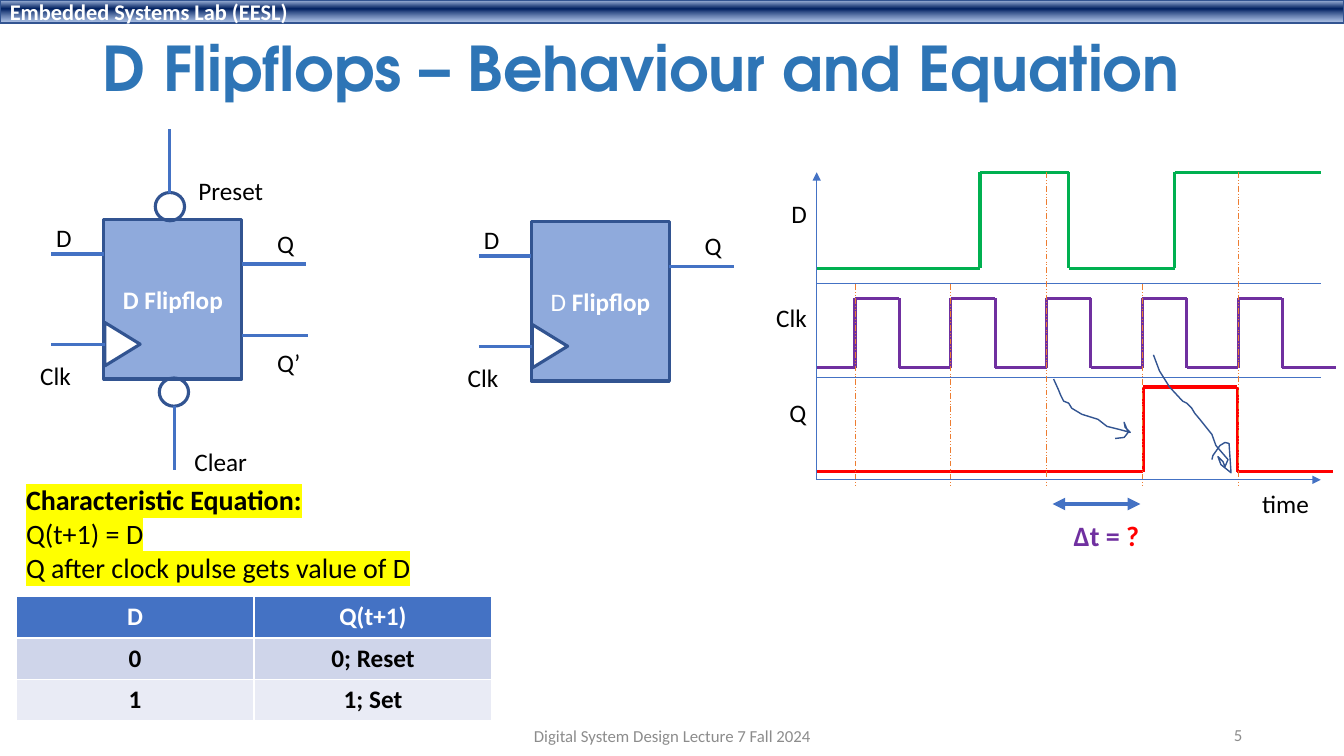
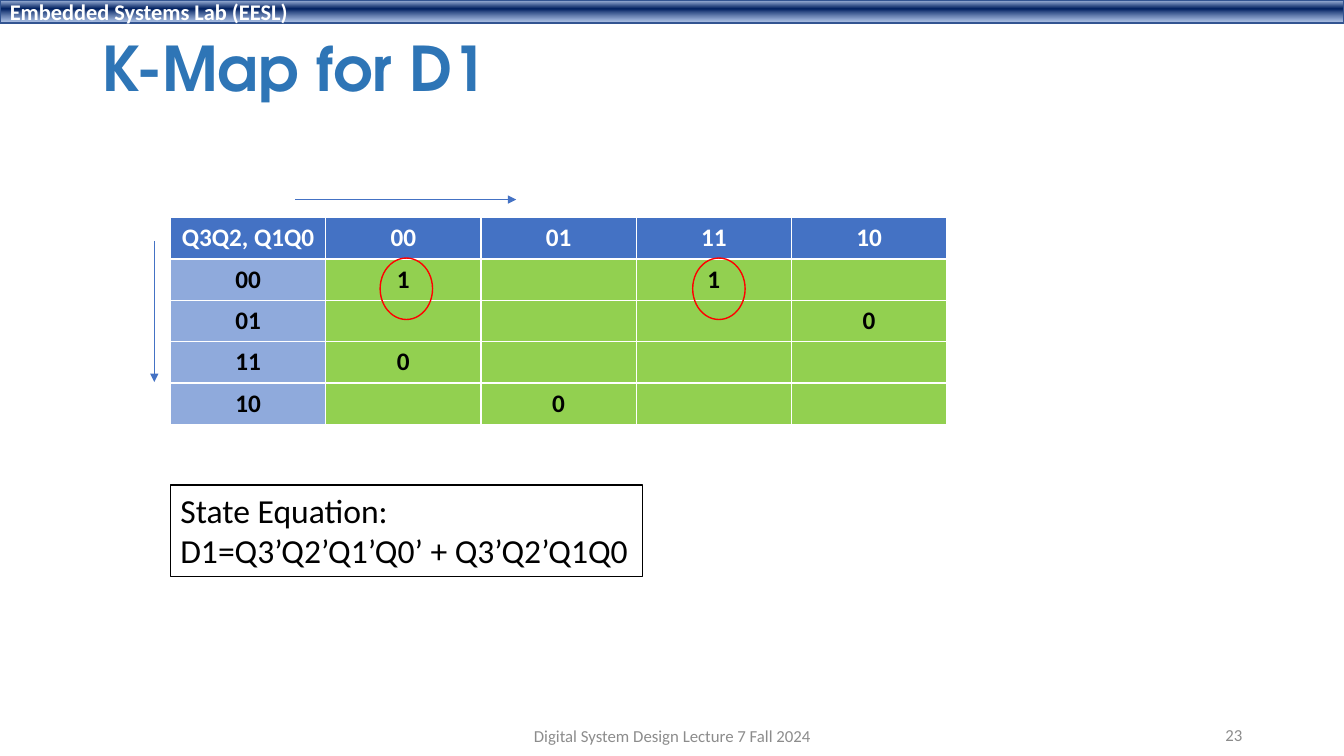
from itertools import pairwise

from lxml import etree
from pptx import Presentation
from pptx.dml.color import RGBColor
from pptx.enum.dml import MSO_LINE
from pptx.enum.shapes import MSO_CONNECTOR, MSO_SHAPE
from pptx.enum.text import MSO_ANCHOR, PP_ALIGN
from pptx.oxml import parse_xml
from pptx.oxml.ns import nsdecls, qn
from pptx.util import Pt

PX = 9144  # EMU per px, 100 px to the inch
RECT, OVAL, TRIANGLE = MSO_SHAPE.RECTANGLE, MSO_SHAPE.OVAL, MSO_SHAPE.ISOSCELES_TRIANGLE
LEFT, CENTER, RIGHT = PP_ALIGN.LEFT, PP_ALIGN.CENTER, PP_ALIGN.RIGHT
TOP, MIDDLE = MSO_ANCHOR.TOP, MSO_ANCHOR.MIDDLE
STRAIGHT = MSO_CONNECTOR.STRAIGHT
DASH_DOT_DOT = MSO_LINE.DASH_DOT_DOT


class Theme:
    font, title_font = "Calibri", "TeX Gyre Adventor"
    white, black, gray = "FFFFFF", "000000", "8C8C8C"
    title, blue, outline, light_blue = "2E75B6", "4472C4", "325491", "8FAADC"
    green, purple, red, orange = "00B050", "7030A0", "FF0000", "ED7D31"
    yellow, kmap = "FFFF00", "92D050"
    row_dark, row_light = "CFD5EA", "E9EBF5"
    band = [(2, "ABC0E4", 100), (38, "002060", 100), (93, "7E9ED6", 64)]
    title_size, equation, large, body, header, footer = 44, 24, 20, 18, 16, 12
    thin, normal, medium, thick = 0.5, 1, 2.25, 3


T = Theme


def write(tf, paras, size, color, bold=False, align=LEFT, anchor=TOP, font=T.font):
    """Fill a text frame; a paragraph is a string or a list of (text, colour, bold)."""
    tf.vertical_anchor = anchor
    for i, para in enumerate(paras):
        p = tf.add_paragraph() if i else tf.paragraphs[0]
        p.alignment = align
        p.font.name, p.font.size = font, Pt(size)
        p.font.bold = bold
        p.font.color.rgb = RGBColor.from_string(color)
        if isinstance(para, str):
            p.add_run().text = para
            continue
        for text, run_color, run_bold in para:
            r = p.add_run()
            r.text = text
            r.font.bold = run_bold
            r.font.color.rgb = RGBColor.from_string(run_color)


def wire(s, x1, y1, x2, y2, color, width, dash=None, arrows=()):
    """Draw a straight line; arrows lists the ends, headEnd and tailEnd in that order."""
    c = s.shapes.add_connector(STRAIGHT, x1 * PX, y1 * PX, x2 * PX, y2 * PX)
    c.line.color.rgb = RGBColor.from_string(color)
    c.line.width = Pt(width)
    if dash:
        c.line.dash_style = dash
    sp_pr = c._element.spPr
    for end in arrows:
        etree.SubElement(sp_pr.find(qn("a:ln")), qn("a:" + end), type="triangle")
    etree.SubElement(sp_pr, qn("a:effectLst"))


prs = Presentation()
prs.slide_width, prs.slide_height = 1333 * PX, 750 * PX

# Shared band, title, footer and number
slides = []
for title, number in [("D Flipflops – Behaviour and Equation", "5"), ("K-Map for D1", "23")]:
    s = prs.slides.add_slide(prs.slide_layouts[6])
    slides.append(s)
    band = s.shapes.add_shape(RECT, 0, 0, prs.slide_width, 23 * PX)
    band.shadow.inherit = False
    band.line.color.rgb = RGBColor.from_string(T.outline)
    band.line.width = Pt(T.normal)
    band.fill.gradient()
    band.fill.gradient_angle = 270
    stops = "".join(
        f'<a:gs pos="{pos * 1000}"><a:srgbClr val="{color}"><a:alpha val="{alpha * 1000}"/>'
        f"</a:srgbClr></a:gs>" for pos, color, alpha in T.band)
    old = band._element.spPr.find(".//" + qn("a:gsLst"))
    old.getparent().replace(old, parse_xml(f"<a:gsLst {nsdecls('a')}>{stops}</a:gsLst>"))
    write(band.text_frame, ["Embedded Systems Lab (EESL)"], T.header, T.white, True, anchor=MIDDLE)

    for x, y, w, h, text, size, color, bold, align, font in [
        (92, 22, 1150, 98, title, T.title_size, T.title, True, LEFT, T.title_font),
        (442, 710, 450, 40, "Digital System Design Lecture 7 Fall 2024",
         T.footer, T.gray, False, CENTER, T.font),
        (942, 709, 300, 40, number, T.footer, T.gray, False, RIGHT, T.font),
    ]:
        tf = s.shapes.add_textbox(x * PX, y * PX, w * PX, h * PX).text_frame
        tf.word_wrap = True
        write(tf, [text], size, color, bold, align, MIDDLE, font)
        if size == T.title_size:
            tf.paragraphs[0].line_spacing = 0.9
flipflops, kmap = slides

# Truth table and K-map: each body row has its first fill and its other fill
ROW_H = 41
kmap_fills = (T.light_blue, T.kmap)
for s, x, y, col_w, rows, fills in [
    (flipflops, 16, 592, 236,
     [["D", "Q(t+1)"], ["0", "0; Reset"], ["1", "1; Set"]],
     [(T.row_dark, T.row_dark), (T.row_light, T.row_light)]),
    (kmap, 169, 216, 154,
     [["Q3Q2, Q1Q0", "00", "01", "11", "10"],
      ["00", "1", "", "1", ""],
      ["01", "", "", "", "0"],
      ["11", "0", "", "", ""],
      ["10", "", "0", "", ""]],
     [kmap_fills] * 4),
]:
    n_rows, n_cols = len(rows), len(rows[0])
    table = s.shapes.add_table(n_rows, n_cols, x * PX, y * PX,
                               n_cols * col_w * PX, n_rows * ROW_H * PX).table
    for col in table.columns:
        col.width = col_w * PX
    for i, (row, (first, other)) in enumerate(zip(rows, [(T.blue, T.blue)] + fills)):
        for j, text in enumerate(row):
            cell = table.cell(i, j)
            cell.fill.solid()
            cell.fill.fore_color.rgb = RGBColor.from_string(other if j else first)
            if text:
                write(cell.text_frame, [text], T.body, T.black if i else T.white, True, CENTER)

# Flipflop bodies with clock marks, inversion bubbles, K-map circles
FF_DX, FF_DY = 424, 2
ff_origins = [(0, 0), (FF_DX, FF_DY)]
outlines = []
for (dx, dy), d_bold in zip(ff_origins, (True, False)):
    name = [("D ", T.white, d_bold), ("Flipflop", T.white, True)]
    outlines += [
        (flipflops, RECT, 103 + dx, 218 + dy, 137, 158, T.light_blue, T.outline, T.medium, name),
        (flipflops, TRIANGLE, 100 + dx, 324 + dy, 43, 35, T.white, T.outline, T.medium, None),
    ]
for x, y in [(154, 191), (158, 375)]:
    outlines.append((flipflops, OVAL, x, y, 29, 28, None, T.outline, T.medium, None))
for x in (377, 687):
    outlines.append((kmap, OVAL, x, 256, 52, 61, None, T.red, T.normal, None))
for s, kind, x, y, w, h, fill, color, width, name in outlines:
    sp = s.shapes.add_shape(kind, x * PX, y * PX, w * PX, h * PX)
    sp.shadow.inherit = False
    sp.line.color.rgb = RGBColor.from_string(color)
    sp.line.width = Pt(width)
    if fill:
        sp.fill.solid()
        sp.fill.fore_color.rgb = RGBColor.from_string(fill)
    else:
        sp.fill.background()
    if kind == TRIANGLE:
        sp.rotation = 90
    if name:
        write(sp.text_frame, [name], T.body, T.white, align=CENTER, anchor=MIDDLE)

# Flipflop pins
pins = [(240, 333, 305, 333), (168, 191, 168, 128), (173, 466, 173, 403)]
labels = [(265, 340, 44, "Q’"), (187, 169, 85, "Preset"), (183, 438, 73, "Clear")]
for dx, dy in ff_origins:
    for x1, x2, y in [(51, 104, 342), (51, 103, 252), (240, 304, 262)]:
        pins.append((x1 + dx, y + dy, x2 + dx, y + dy))
    for x, y, w, text in [(30, 353, 51, "Clk"), (46, 216, 36, "D"), (265, 222, 37, "Q")]:
        labels.append((x + dx, y + dy, w, text))
for pin in pins:
    wire(flipflops, *pin, T.blue, T.medium)

# Timing diagram: signals, separators, clock edges and axes
AXIS_X, AXIS_TOP, AXIS_Y, AXIS_END = 810, 171, 476, 1310
PERIOD, PULSE, CLK_LOW, CLK_HIGH = 95, 44, 365, 296
edges = [848 + PERIOD * i for i in range(5)]
d_wave = [(AXIS_X, 266), (972, 266), (972, 171), (1060, 171), (1060, 266),
          (1165, 266), (1165, 171), (AXIS_END, 171)]
clk_wave = [(AXIS_X, CLK_LOW)]
for x in edges:
    clk_wave += [(x, CLK_LOW), (x, CLK_HIGH), (x + PULSE, CLK_HIGH), (x + PULSE, CLK_LOW)]
clk_wave.append((1325, CLK_LOW))
q_wave = [(809, 468), (1134, 468), (1134, 384), (1227, 384), (1227, 468), (1322, 468)]

for y in (281, 374):
    wire(flipflops, AXIS_X, y, AXIS_END, y, T.blue, T.thin)
for points, color in [(d_wave, T.green), (clk_wave, T.purple), (q_wave, T.red)]:
    for start, end in pairwise(points):
        wire(flipflops, *start, *end, color, T.medium)
for x, top in zip(edges, (282, 282, AXIS_TOP, 282, AXIS_TOP)):
    wire(flipflops, x, top, x, 482, T.orange, T.thin, DASH_DOT_DOT)

# Arrows: time axes, delay span, K-map directions
for s, x1, y1, x2, y2, width, ends in [
    (flipflops, AXIS_X, AXIS_Y, AXIS_X, AXIS_TOP, T.thin, ["tailEnd"]),
    (flipflops, AXIS_X, AXIS_Y, AXIS_END, AXIS_Y, T.thin, ["tailEnd"]),
    (flipflops, 1044, 500, 1131, 500, T.thick, ["headEnd", "tailEnd"]),
    (kmap, 153, 239, 153, 379, T.thin, ["tailEnd"]),
    (kmap, 293, 198, 512, 198, T.thin, ["tailEnd"]),
]:
    wire(s, x1, y1, x2, y2, T.blue, width, arrows=ends)

# Hand-drawn arrows
for start, *points in [
    [(1045, 376), (1050, 387), (1052, 392), (1055, 398), (1060, 400), (1063, 405),
     (1073, 411), (1089, 416), (1098, 423), (1110, 426), (1121, 429), (1116, 424),
     (1115, 419), (1119, 429), (1115, 434), (1106, 435)],
    [(1144, 352), (1150, 368), (1160, 384), (1173, 398), (1177, 400), (1182, 405),
     (1185, 410), (1190, 416), (1194, 421), (1202, 431), (1206, 442), (1218, 456),
     (1215, 463), (1213, 458), (1208, 453), (1211, 461), (1221, 469), (1219, 440),
     (1215, 439), (1210, 442), (1203, 452), (1202, 456)],
]:
    builder = flipflops.shapes.build_freeform(*start, scale=PX)
    builder.add_line_segments(points, close=False)
    ink = builder.convert_to_shape()
    ink.shadow.inherit = False
    ink.fill.background()
    ink.line.color.rgb = RGBColor.from_string(T.outline)
    ink.line.width = Pt(T.normal)

# Labels and equations
labels += [(775, 192, 36, "D"), (760, 295, 51, "Clk"), (773, 389, 37, "Q"), (1242, 480, 67, "time")]
texts = [(flipflops, x, y, w, 40, [text], T.body) for x, y, w, text in labels]
characteristic = [[("Characteristic Equation:", T.black, True)],
                  "Q(t+1) = D", "Q after clock pulse gets value of D"]
state = ["State Equation:", "D1=Q3’Q2’Q1’Q0’ + Q3’Q2’Q1Q0"]
delay = [[("Δt = ", T.purple, True), ("?", T.red, True)]]
texts += [
    (flipflops, 16, 474, 406, 111, characteristic, T.large),
    (flipflops, 1055, 509, 86, 44, delay, T.large),
    (kmap, 169, 481, 468, 91, state, T.equation),
]
for s, x, y, w, h, paras, size in texts:
    box = s.shapes.add_textbox(x * PX, y * PX, w * PX, h * PX)
    tf = box.text_frame
    tf.word_wrap = False
    write(tf, paras, size, T.black)
    if paras is characteristic:
        for p in tf.paragraphs:
            r_pr = p.runs[0]._r.get_or_add_rPr()
            mark = parse_xml(f'<a:highlight {nsdecls("a")}><a:srgbClr val="{T.yellow}"/></a:highlight>')
            r_pr.append(mark)
    if paras is state:
        box.fill.solid()
        box.fill.fore_color.rgb = RGBColor.from_string(T.white)
        box.line.color.rgb = RGBColor.from_string(T.black)
        box.line.width = Pt(T.normal)

prs.save("out.pptx")
